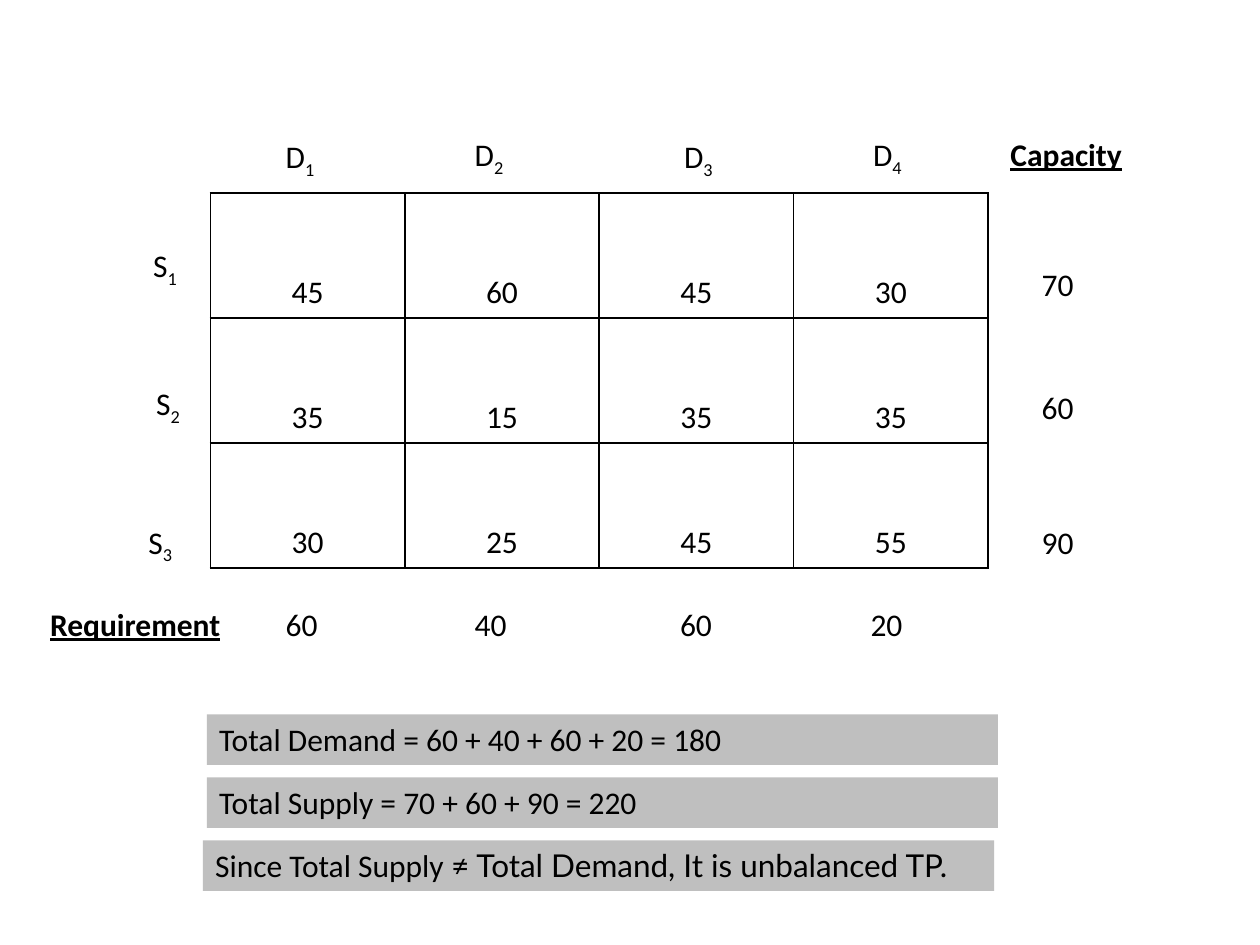
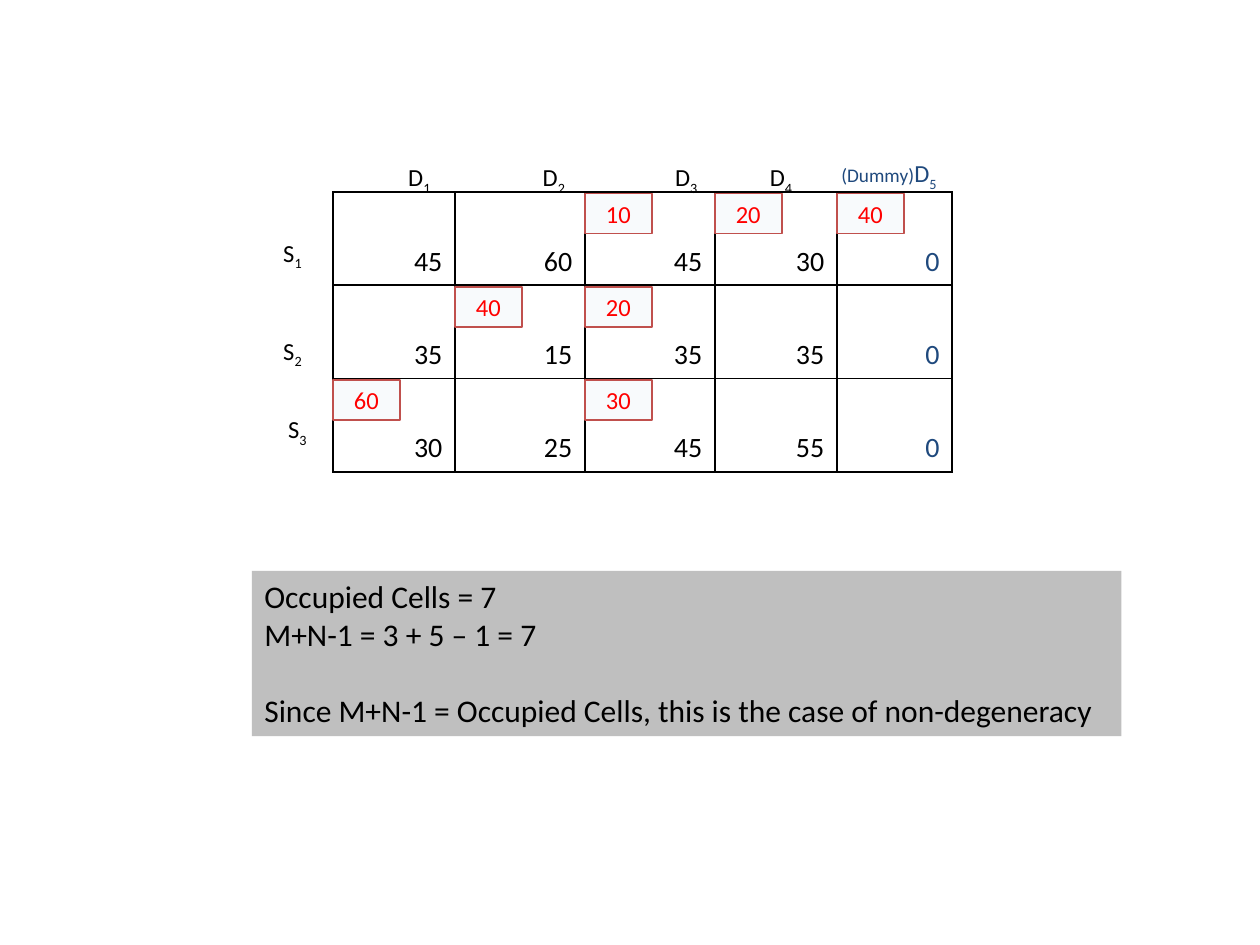
from dataclasses import dataclass
from itertools import accumulate

from lxml import etree
from pptx import Presentation
from pptx.dml.color import RGBColor
from pptx.enum.shapes import MSO_SHAPE
from pptx.enum.text import MSO_ANCHOR, PP_ALIGN
from pptx.oxml.ns import qn
from pptx.util import Cm, Pt

RECT = MSO_SHAPE.RECTANGLE
TOP, MIDDLE, BOTTOM = MSO_ANCHOR.TOP, MSO_ANCHOR.MIDDLE, MSO_ANCHOR.BOTTOM
LEFT, CENTER, RIGHT = PP_ALIGN.LEFT, PP_ALIGN.CENTER, PP_ALIGN.RIGHT


@dataclass(frozen=True)
class Theme:
    font: str = "Calibri"
    accent_font: str = "Lato"
    ink: str = "000000"
    dummy: str = "1F497D"
    band: str = "BFBFBF"
    alloc_fill: str = "4F81BD"
    alloc_line: str = "C0504D"
    alloc_text: str = "FF0000"
    body: int = 18
    cost: int = 16
    small: int = 14
    tiny: int = 11
    line: int = 1


THEME = Theme()


def rgb(color):
    return RGBColor.from_string(color)


# Text
def add_run(p, text, size=THEME.body, color=THEME.ink, font=THEME.font,
            bold=False, underline=False, subscript=False):
    r = p.add_run()
    r.text = text
    f = r.font
    f.size, f.name, f.bold, f.underline = Pt(size), font, bold, underline
    f.color.rgb = rgb(color)
    if subscript:
        r._r.get_or_add_rPr().set("baseline", "-25000")


def write(p, text, align=LEFT, **fmt):
    """Write a string, or a list of (string, overrides) runs, into p."""
    p.alignment = align
    runs = [(text, {})] if isinstance(text, str) else text
    for part, extra in runs:
        add_run(p, part, **{**fmt, **extra})


def indexed(letter, number):
    return [(letter, {}), (str(number), {"subscript": True})]


def add_label(slide, text, x, y, w, h=1.02, **fmt):
    tb = slide.shapes.add_textbox(Cm(x), Cm(y), Cm(w), Cm(h))
    tb.text_frame.word_wrap = True
    write(tb.text_frame.paragraphs[0], text, **fmt)


# Boxes
def add_box(slide, text, x, y, w, h, fill, anchor=TOP, **fmt):
    sp = slide.shapes.add_shape(RECT, Cm(x), Cm(y), Cm(w), Cm(h))
    sp.shadow.inherit = False
    sp.fill.solid()
    sp.fill.fore_color.rgb = rgb(fill)
    sp.line.fill.background()
    tf = sp.text_frame
    tf.word_wrap = True
    tf.vertical_anchor = anchor
    write(tf.paragraphs[0], text, **fmt)
    return sp


def add_allocation(slide, amount, x, y):
    sp = add_box(slide, str(amount), x, y, 1.35, 0.81, THEME.alloc_fill, MIDDLE,
                 align=CENTER, size=THEME.small, color=THEME.alloc_text)
    sp.line.color.rgb = rgb(THEME.alloc_line)
    sp.line.width = Pt(THEME.line)
    color = sp._element.spPr.find(qn("a:solidFill"))[0]
    etree.SubElement(color, qn("a:alpha"), val="4000")


# Cost table
def set_borders(cell):
    tc_pr = cell._tc.get_or_add_tcPr()
    for i, side in enumerate(("lnL", "lnR", "lnT", "lnB")):
        ln = etree.Element(qn(f"a:{side}"), w=str(Pt(THEME.line)))
        fill = etree.SubElement(ln, qn("a:solidFill"))
        etree.SubElement(fill, qn("a:srgbClr"), val=THEME.ink)
        tc_pr.insert(i, ln)


def add_costs(slide, costs, x, y, widths, row_h, dummy_col=None, **fmt):
    frame = slide.shapes.add_table(len(costs), len(widths), Cm(x), Cm(y),
                                   Cm(sum(widths)), Cm(row_h * len(costs)))
    table = frame.table
    table.first_row = table.horz_banding = False
    for col, w in zip(table.columns, widths):
        col.width = Cm(w)
    for i, row in enumerate(costs):
        table.rows[i].height = Cm(row_h)
        for j, cost in enumerate(row):
            cell = table.cell(i, j)
            cell.fill.background()
            cell.vertical_anchor = BOTTOM
            set_borders(cell)
            color = THEME.dummy if j == dummy_col else THEME.ink
            write(cell.text_frame.paragraphs[0], str(cost), color=color, **fmt)


COSTS = [[45, 60, 45, 30], [35, 15, 35, 35], [30, 25, 45, 55]]


def build_unbalanced(slide):
    add_costs(slide, COSTS, 4.24, 3.89, [3.92] * 4, 2.52, align=CENTER)

    # Sources and destinations
    for i, x in enumerate((2.84, 2.9, 2.74)):
        add_label(slide, indexed("S", i + 1), x, 4.83 + 2.79 * i, 1.27)
    for i, (x, y) in enumerate(((5.51, 2.64), (9.32, 2.59), (13.54, 2.64), (17.35, 2.59))):
        add_label(slide, indexed("D", i + 1), x, y, 1.7)

    # Capacity and requirement
    for capacity, y in ((70, 5.21), (60, 7.7), (90, 10.41)):
        add_label(slide, str(capacity), 20.75, y, 1.27)
    for need, x in ((60, 5.51), (40, 9.32), (60, 13.46), (20, 17.3)):
        add_label(slide, str(need), x, 12.07, 1.27)
    for heading, x, y in (("Capacity", 20.12, 2.59), ("Requirement", 0.76, 12.07)):
        add_label(slide, heading, x, y, 4.24, bold=True, underline=True)

    # Conclusions
    conclusions = (
        ("Total Demand = 60 + 40 + 60 + 20 = 180", 4.17),
        ("Total Supply = 70 + 60 + 90 = 220", 4.17),
        ([("Since Total Supply ", {}),
          ("≠ Total Demand, It is unbalanced TP.", {"font": THEME.accent_font})], 4.09),
    )
    for i, (text, x) in enumerate(conclusions):
        add_box(slide, text, x, 14.4 + 1.27 * i, 15.95, 1.02, THEME.band)


def build_allocated(slide):
    left, top, row_h = 6.71, 3.87, 1.88
    widths = [2.46, 2.62, 2.62, 2.46, 2.32]
    add_costs(slide, [row + [0] for row in COSTS], left, top, widths, row_h,
              dummy_col=4, align=RIGHT, size=THEME.cost)

    # Sources and destinations
    for i, (x, y) in enumerate(((5.46, 4.67), (5.46, 6.65), (5.56, 8.23))):
        add_label(slide, indexed("S", i + 1), x, y, 1.3, 0.86, size=THEME.small)
    for i, x in enumerate((7.98, 10.69, 13.36, 15.27)):
        add_label(slide, indexed("D", i + 1), x, 3.15, 1.73, 0.86, size=THEME.small)
    dummy = [("(Dummy)", {"size": THEME.tiny})] + indexed("D", 5)
    add_label(slide, dummy, 16.71, 3.07, 2.49, 0.86,
              size=THEME.small, color=THEME.dummy)

    # Allocations, keyed by row and column
    col_x = list(accumulate(widths, initial=left))
    allocations = {(0, 2): 10, (0, 3): 20, (0, 4): 40, (1, 1): 40,
                   (1, 2): 20, (2, 0): 60, (2, 2): 30}
    for (row, col), amount in allocations.items():
        add_allocation(slide, amount, col_x[col], top + 0.03 + row_h * row)

    # Degeneracy check
    check = add_box(slide, "Occupied Cells = 7", 5.08, 11.51, 17.53, 3.33, THEME.band)
    for text, gap in (("M+N-1 = 3 + 5 – 1 = 7", 0),
                      ("Since M+N-1 = Occupied Cells, this is the case of non-degeneracy", 22)):
        p = check.text_frame.add_paragraph()
        p.space_before = Pt(gap)
        write(p, text)


def main():
    prs = Presentation()
    prs.slide_width, prs.slide_height = Cm(25.4), Cm(19.05)
    blank = prs.slide_layouts[6]
    for build in (build_unbalanced, build_allocated):
        build(prs.slides.add_slide(blank))
    prs.save("out.pptx")


if __name__ == "__main__":
    main()
